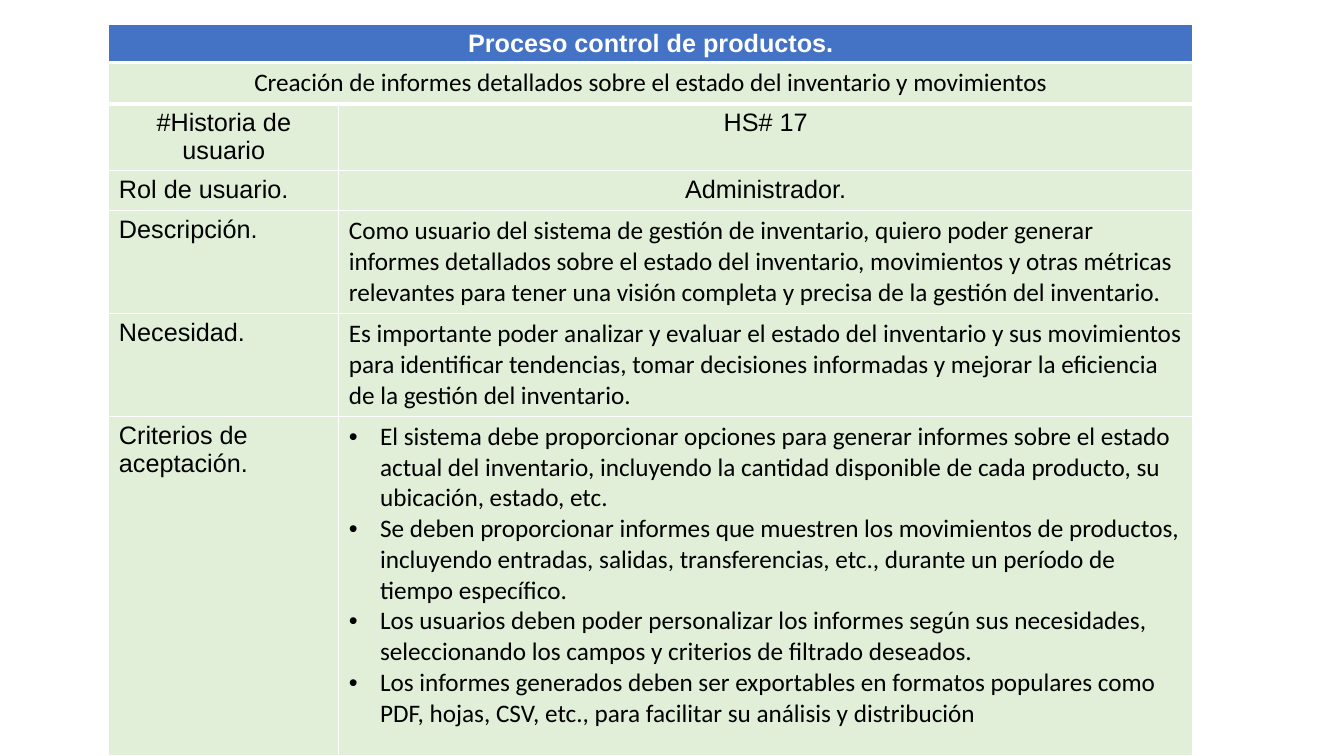
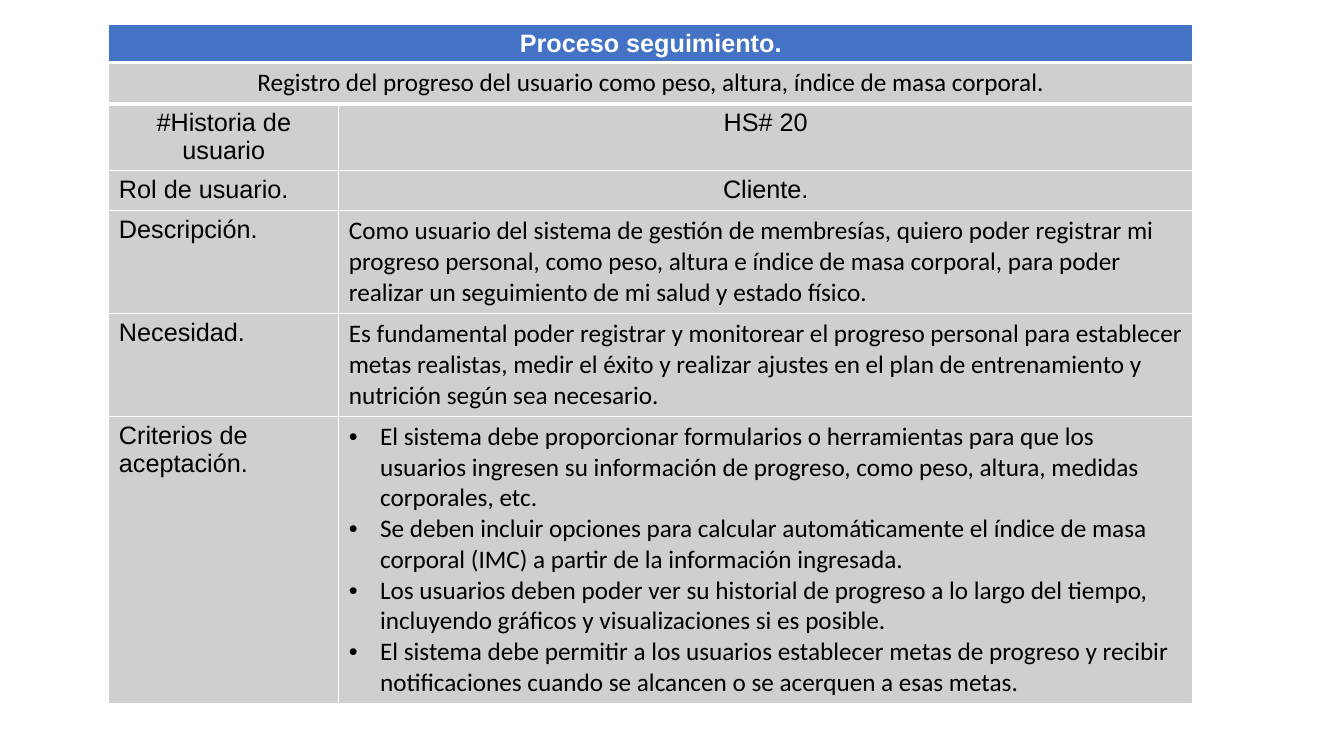
import pptx
import pptx.util
import pptx.dml.color
import pptx.enum.text
import pptx.oxml.ns
from lxml import etree

Inches = pptx.util.Inches
qn = pptx.oxml.ns.qn
CENTER = pptx.enum.text.PP_ALIGN.CENTER
LEFT = pptx.enum.text.PP_ALIGN.LEFT

COLORS = {"header": "4472C4", "green": "E1EFD8", "gray": "D0CECE",
          "white": "FFFFFF", "black": "000000"}

# Content: one user story per slide
STORIES = [
    {
        "process": "Proceso control de productos.",
        "title": "Creación de informes detallados sobre el estado del inventario y movimientos",
        "number": "HS# 17",
        "role": "Administrador.",
        "description": "Como usuario del sistema de gestión de inventario, quiero poder generar "
                       "informes detallados sobre el estado del inventario, movimientos y otras "
                       "métricas relevantes para tener una visión completa y precisa de la "
                       "gestión del inventario.",
        "need": "Es importante poder analizar y evaluar el estado del inventario y sus "
                "movimientos para identificar tendencias, tomar decisiones informadas y "
                "mejorar la eficiencia de la gestión del inventario.",
        "criteria": [
            "El sistema debe proporcionar opciones para generar informes sobre el estado actual "
            "del inventario, incluyendo la cantidad disponible de cada producto, su ubicación, "
            "estado, etc.",
            "Se deben proporcionar informes que muestren los movimientos de productos, "
            "incluyendo entradas, salidas, transferencias, etc., durante un período de tiempo "
            "específico.",
            "Los usuarios deben poder personalizar los informes según sus necesidades, "
            "seleccionando los campos y criterios de filtrado deseados.",
            "Los informes generados deben ser exportables en formatos populares como PDF, "
            "hojas, CSV, etc., para facilitar su análisis y distribución",
        ],
        "fill": "green",
        "criteria_height": 3.37,
    },
    {
        "process": "Proceso seguimiento.",
        "title": "Registro del progreso del usuario como peso, altura, índice de masa corporal.",
        "number": "HS# 20",
        "role": "Cliente.",
        "description": "Como usuario del sistema de gestión de membresías, quiero poder registrar "
                       "mi progreso personal, como peso, altura e índice de masa corporal, para "
                       "poder realizar un seguimiento de mi salud y estado físico.",
        "need": "Es fundamental poder registrar y monitorear el progreso personal para "
                "establecer metas realistas, medir el éxito y realizar ajustes en el plan de "
                "entrenamiento y nutrición según sea necesario.",
        "criteria": [
            "El sistema debe proporcionar formularios o herramientas para que los usuarios "
            "ingresen su información de progreso, como peso, altura, medidas corporales, etc.",
            "Se deben incluir opciones para calcular automáticamente el índice de masa corporal "
            "(IMC) a partir de la información ingresada.",
            "Los usuarios deben poder ver su historial de progreso a lo largo del tiempo, "
            "incluyendo gráficos y visualizaciones si es posible.",
            "El sistema debe permitir a los usuarios establecer metas de progreso y recibir "
            "notificaciones cuando se alcancen o se acerquen a esas metas.",
        ],
        "fill": "gray",
        "criteria_height": 2.83,
    },
]

# Labelled rows: label, story key, label alignment, value alignment, value font
FIELDS = [
    ("#Historia de usuario", "number", CENTER, CENTER, "Arial"),
    ("Rol de usuario.", "role", LEFT, CENTER, "Arial"),
    ("Descripción.", "description", LEFT, LEFT, "Calibri"),
    ("Necesidad.", "need", LEFT, LEFT, "Calibri"),
    ("Criterios de aceptación.", "criteria", LEFT, LEFT, "Calibri"),
]

TABLE_LEFT, TABLE_TOP = 1.08, 0.24
COLUMN_WIDTHS = [2.28, 8.47]
ROW_HEIGHTS = [0.38, 0.41, 0.66, 0.4, 1.02, 1.02]  # the criteria row follows
BULLET_INDENT = 0.31
HEADER_RULE = 3


def rgb(name):
    return pptx.dml.color.RGBColor.from_string(COLORS[name])


def add_bullet(paragraph):
    props = paragraph._p.get_or_add_pPr()
    props.set("marL", str(Inches(BULLET_INDENT)))
    props.set("indent", str(-Inches(BULLET_INDENT)))
    bullet_color = etree.SubElement(props, qn("a:buClr"))
    etree.SubElement(bullet_color, qn("a:srgbClr"), val=COLORS["black"])
    etree.SubElement(props, qn("a:buFont"), typeface="Arial")
    etree.SubElement(props, qn("a:buChar"), char="•")


def add_header_rule(cell, side):
    """Draw the thick white rule on one side of a cell; borders precede the fill."""
    border = etree.Element(qn(side), w=str(pptx.util.Pt(HEADER_RULE)))
    line_fill = etree.SubElement(border, qn("a:solidFill"))
    etree.SubElement(line_fill, qn("a:srgbClr"), val=COLORS["white"])
    cell._tc.get_or_add_tcPr().insert(0, border)


def write_cell(cell, text, *, fill, font="Arial", color="black", bold=False, align=LEFT):
    """Fill a cell with one text, or with a bulleted list of texts."""
    cell.fill.solid()
    cell.fill.fore_color.rgb = rgb(fill)
    bulleted = isinstance(text, list)
    lines = text if bulleted else [text]
    frame = cell.text_frame
    for index, line in enumerate(lines):
        paragraph = frame.add_paragraph() if index else frame.paragraphs[0]
        paragraph.alignment = align
        if bulleted:
            add_bullet(paragraph)
        run = paragraph.add_run()
        run.text = line
        run.font.size = pptx.util.Pt(18)
        run.font.name = font
        run.font.bold = bold
        run.font.color.rgb = rgb(color)


def add_story(slide, story):
    heights = ROW_HEIGHTS + [story["criteria_height"]]
    table = slide.shapes.add_table(
        len(heights), len(COLUMN_WIDTHS), Inches(TABLE_LEFT), Inches(TABLE_TOP),
        Inches(sum(COLUMN_WIDTHS)), Inches(sum(heights))).table
    for column, width in zip(table.columns, COLUMN_WIDTHS):
        column.width = Inches(width)
    for row, height in zip(table.rows, heights):
        row.height = Inches(height)

    # Full-width process and title rows, with the thick rule between them
    for row, side in enumerate(["a:lnB", "a:lnT"]):
        table.cell(row, 0).merge(table.cell(row, 1))
        for column in range(len(COLUMN_WIDTHS)):
            add_header_rule(table.cell(row, column), side)
    write_cell(table.cell(0, 0), story["process"], fill="header", color="white",
               bold=True, align=CENTER)
    write_cell(table.cell(1, 0), story["title"], fill=story["fill"], font="Calibri",
               align=CENTER)

    # Label and value rows
    for row, (label, key, label_align, value_align, font) in enumerate(FIELDS, start=2):
        write_cell(table.cell(row, 0), label, fill=story["fill"], align=label_align)
        write_cell(table.cell(row, 1), story[key], fill=story["fill"], font=font,
                   align=value_align)


def main():
    deck = pptx.Presentation()
    deck.slide_width, deck.slide_height = Inches(13.33), Inches(7.5)
    for story in STORIES:
        add_story(deck.slides.add_slide(deck.slide_layouts[6]), story)
    deck.save("out.pptx")


if __name__ == "__main__":
    main()
